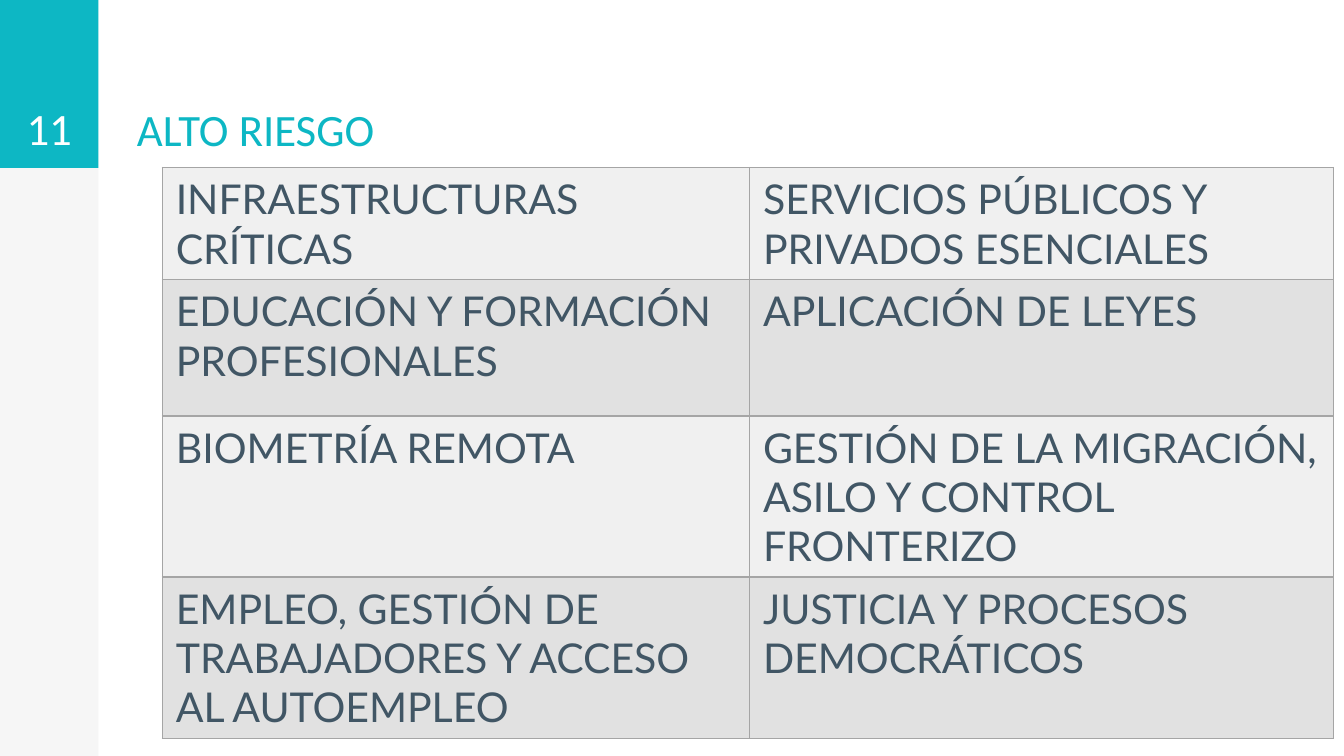
from lxml import etree
from pptx import Presentation
from pptx.dml.color import RGBColor
from pptx.enum.shapes import MSO_SHAPE
from pptx.enum.text import MSO_ANCHOR, PP_ALIGN
from pptx.oxml.ns import qn
from pptx.util import Pt

RECT = MSO_SHAPE.RECTANGLE
BOTTOM = MSO_ANCHOR.BOTTOM
LEFT, CENTER = PP_ALIGN.LEFT, PP_ALIGN.CENTER

TEAL = RGBColor(0x0D, 0xB7, 0xC4)
PALE = RGBColor(0xF6, 0xF6, 0xF6)
WHITE = RGBColor(0xFF, 0xFF, 0xFF)
SLATE = RGBColor(0x41, 0x56, 0x65)
BORDER = RGBColor(0xA5, 0xA5, 0xA5)
BANDS = (RGBColor(0xF0, 0xF0, 0xF0), RGBColor(0xE1, 0xE1, 0xE1))

RISKS = [
    ("INFRAESTRUCTURAS CRÍTICAS", "SERVICIOS PÚBLICOS Y PRIVADOS ESENCIALES"),
    ("EDUCACIÓN Y FORMACIÓN PROFESIONALES", "APLICACIÓN DE LEYES"),
    ("BIOMETRÍA REMOTA", "GESTIÓN DE LA MIGRACIÓN, ASILO Y CONTROL FRONTERIZO"),
    ("EMPLEO, GESTIÓN DE TRABAJADORES Y ACCESO AL AUTOEMPLEO",
     "JUSTICIA Y PROCESOS DEMOCRÁTICOS"),
]
COLS = (314.6, 312.8)
ROWS = (50.4, 73, 73, 73)


def add_run(para, text, font, size, color):
    run = para.add_run()
    run.text = text
    run.font.name = font
    run.font.size = Pt(size)
    run.font.color.rgb = color


def add_block(slide, box, color):
    block = slide.shapes.add_shape(RECT, *map(Pt, box))
    block.shadow.inherit = False
    block.fill.solid()
    block.fill.fore_color.rgb = color
    block.line.fill.background()


def add_label(slide, box, text, color, align):
    frame = slide.shapes.add_textbox(*map(Pt, box)).text_frame
    frame.word_wrap = True
    frame.vertical_anchor = BOTTOM
    frame.margin_left = frame.margin_right = Pt(7.2)
    frame.margin_top = frame.margin_bottom = Pt(7.2)
    para = frame.paragraphs[0]
    para.alignment = align
    add_run(para, text, "Calibri", 24, color)


def add_sidebar(slide, box, number):
    left, top, width, height = box
    head = (left, top, width, 90)
    add_block(slide, box, PALE)
    add_block(slide, head, TEAL)
    add_label(slide, head, number, WHITE, CENTER)


def set_border(cell):
    """Draw a thin line on all four sides; call it before filling the cell."""
    props = cell._tc.get_or_add_tcPr()
    for side in ("a:lnL", "a:lnR", "a:lnT", "a:lnB"):
        line = etree.SubElement(props, qn(side), w=str(Pt(1)))
        fill = etree.SubElement(line, qn("a:solidFill"))
        etree.SubElement(fill, qn("a:srgbClr"), val=str(BORDER))


def add_risks(slide, box):
    table = slide.shapes.add_table(len(ROWS), len(COLS), *map(Pt, box)).table
    table.first_row = table.horz_banding = False
    for col, width in zip(table.columns, COLS):
        col.width = Pt(width)
    for i, (row, height) in enumerate(zip(table.rows, ROWS)):
        row.height = Pt(height)
        for cell, text in zip(row.cells, RISKS[i]):
            set_border(cell)
            cell.fill.solid()
            cell.fill.fore_color.rgb = BANDS[i % 2]
            add_run(cell.text_frame.paragraphs[0], text, "Lato", 22, SLATE)


def main():
    deck = Presentation()
    deck.slide_width, deck.slide_height = Pt(720), Pt(405)
    slide = deck.slides.add_slide(deck.slide_layouts[6])
    add_sidebar(slide, (0, 0, 52.7, 405), "11")
    add_label(slide, (66.3, 0.5, 280, 90), "ALTO RIESGO", TEAL, LEFT)
    add_risks(slide, (87, 89.8, sum(COLS), sum(ROWS)))
    deck.save("out.pptx")


if __name__ == "__main__":
    main()
